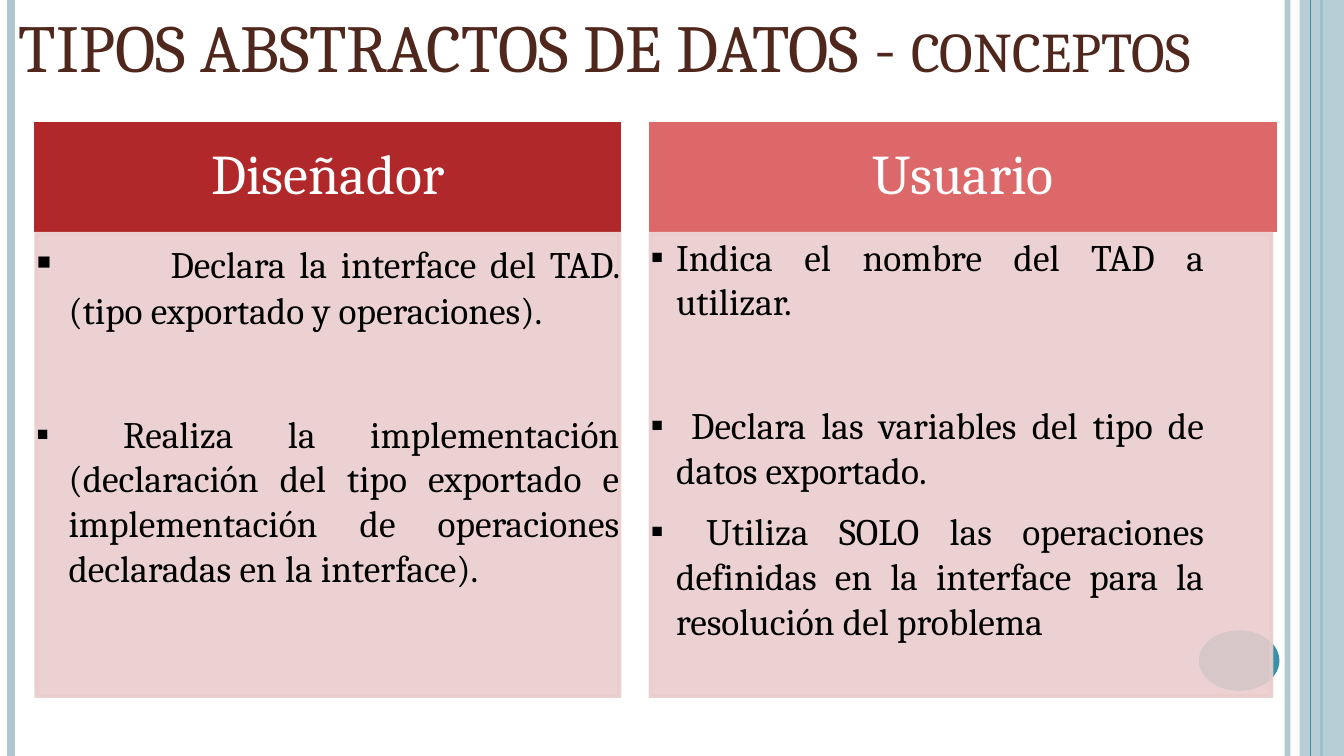
from pptx import Presentation
from pptx.dml.color import RGBColor
from pptx.enum.shapes import MSO_CONNECTOR, MSO_SHAPE
from pptx.enum.text import MSO_ANCHOR, MSO_AUTO_SIZE, PP_ALIGN
from pptx.oxml.ns import qn
from pptx.util import Inches, Pt
from lxml import etree

RECTANGLE, OVAL = MSO_SHAPE.RECTANGLE, MSO_SHAPE.OVAL
STRAIGHT = MSO_CONNECTOR.STRAIGHT
LEFT, CENTER, JUSTIFY = PP_ALIGN.LEFT, PP_ALIGN.CENTER, PP_ALIGN.JUSTIFY
TOP, MIDDLE, BOTTOM = MSO_ANCHOR.TOP, MSO_ANCHOR.MIDDLE, MSO_ANCHOR.BOTTOM
NO_AUTOFIT = MSO_AUTO_SIZE.NONE

WHITE = RGBColor(0xFF, 0xFF, 0xFF)
BLACK = RGBColor(0, 0, 0)
BROWN = RGBColor(0x4F, 0x27, 0x1C)
PALE_BLUE = RGBColor(0xAE, 0xC7, 0xD0)
TEAL = RGBColor(0x38, 0x91, 0xA7)
DARK_RED = RGBColor(0xB0, 0x28, 0x29)
CORAL = RGBColor(0xDD, 0x68, 0x69)
PALE_PINK = RGBColor(0xE9, 0xCD, 0xCD)

FONT, BULLET_FONT = "Cambria", "Arial"
WIDTH = 10
HEIGHT = WIDTH * 9 / 16
COLUMN_TOP, HEADER_HEIGHT, GAP, BODY_HEIGHT = 0.92, 0.79, 0.03, 3.44
CLOSE, WIDE = 9, 42

DESIGNER = [
    ("\tDeclara la interface del TAD. (tipo exportado y operaciones).", WIDE),
    (" Realiza la implementación (declaración del tipo exportado e "
     "implementación de operaciones declaradas en la interface).", CLOSE),
]
USER = [
    ("Indica el nombre del TAD a utilizar.", WIDE),
    (" Declara las variables del tipo de datos exportado.", CLOSE),
    (" Utiliza SOLO las operaciones definidas en la interface para la "
     "resolución del problema", CLOSE),
]


def set_opacity(fill_parent, percent):
    """Make the solid colour below an element partly transparent."""
    color = fill_parent.find(qn("a:solidFill"))[0]
    etree.SubElement(color, qn("a:alpha")).set("val", str(percent * 1000))


def add_block(slide, kind, box, color, opacity=100, outline=0):
    """Add a flat shape, with a sharp outline of its own colour if a width is given."""
    shape = slide.shapes.add_shape(kind, *map(Inches, box))
    shape.shadow.inherit = False
    shape.fill.solid()
    shape.fill.fore_color.rgb = color
    properties = shape._element.spPr
    if outline:
        shape.line.color.rgb = color
        shape.line.width = Pt(outline)
        line = properties.find(qn("a:ln"))
        etree.SubElement(line, qn("a:miter")).set("lim", "800000")
    else:
        shape.line.fill.background()
    if opacity < 100:
        set_opacity(properties, opacity)
        if outline:
            set_opacity(line, opacity)
    return shape


def add_stripe(slide, x, color, width, opacity=100):
    """Add a vertical line over the full height of the slide."""
    line = slide.shapes.add_connector(
        STRAIGHT, Inches(x), 0, Inches(x), Inches(HEIGHT))
    line.line.color.rgb = color
    line.line.width = Pt(width)
    properties = line._element.spPr
    etree.SubElement(properties, qn("a:effectLst"))
    if opacity < 100:
        set_opacity(properties.find(qn("a:ln")), opacity)


def add_frame(slide):
    """Draw the side stripes and the corner disc."""
    add_stripe(slide, 9.58, PALE_BLUE, 3, 93)
    add_stripe(slide, 0.08, PALE_BLUE, 4.5)
    add_stripe(slide, 9.83, TEAL, 1.5)
    add_block(slide, RECTANGLE, (9.67, 0, 0.33, HEIGHT), PALE_BLUE, 87)
    add_stripe(slide, 9.75, TEAL, 0.75)
    add_block(slide, OVAL, (8.92, 4.69, 0.6, 0.45), TEAL)


def set_frame(shape, anchor, margins):
    """Set wrapping, anchor and left, top, right, bottom margins of a text frame."""
    frame = shape.text_frame
    frame.word_wrap = True
    frame.auto_size = NO_AUTOFIT
    frame.vertical_anchor = anchor
    (frame.margin_left, frame.margin_top,
     frame.margin_right, frame.margin_bottom) = map(Inches, margins)
    return frame


def set_font(font, size, color):
    """Set the typeface, size and colour of a font."""
    font.name = FONT
    font.size = Pt(size)
    font.color.rgb = color


def add_title(slide, box):
    """Place the title and give its last word a smaller size."""
    title = slide.shapes.title
    title.left, title.top, title.width, title.height = map(Inches, box)
    frame = set_frame(title, BOTTOM, (0.1, 0.05, 0.1, 0.05))
    paragraph = frame.paragraphs[0]
    paragraph.alignment = LEFT
    for text, size in (("TIPOS ABSTRACTOS DE DATOS - ", 36), ("CONCEPTOS", 30)):
        run = paragraph.add_run()
        run.text = text
        set_font(run.font, size, BROWN)


def add_bullet(paragraph, indent):
    """Give a paragraph a square bullet, a hanging indent and a tab stop."""
    properties = paragraph._p.get_or_add_pPr()
    properties.set("marL", str(Inches(indent)))
    properties.set("indent", str(-Inches(indent)))
    color = etree.SubElement(properties, qn("a:buClr"))
    etree.SubElement(color, qn("a:srgbClr")).set("val", str(BLACK))
    etree.SubElement(properties, qn("a:buFont")).set("typeface", BULLET_FONT)
    etree.SubElement(properties, qn("a:buChar")).set("char", "▪")
    tabs = etree.SubElement(properties, qn("a:tabLst"))
    tab = etree.SubElement(tabs, qn("a:tab"))
    tab.set("pos", str(Inches(1)))
    tab.set("algn", "l")


def add_column(slide, left, header_width, body_width, heading, color,
               items, indent, margins):
    """Add a coloured heading above a panel of bulleted text."""
    header = add_block(slide, RECTANGLE,
                       (left, COLUMN_TOP, header_width, HEADER_HEIGHT),
                       color, outline=2)
    frame = set_frame(header, MIDDLE, (0.23, 0.13, 0.23, 0.13))
    paragraph = frame.paragraphs[0]
    paragraph.text = heading
    paragraph.alignment = CENTER
    paragraph.line_spacing = 0.9
    set_font(paragraph.font, 30, WHITE)

    body_top = COLUMN_TOP + HEADER_HEIGHT + GAP
    body = add_block(slide, RECTANGLE,
                     (left, body_top, body_width, BODY_HEIGHT),
                     PALE_PINK, 90, outline=2)
    frame = set_frame(body, TOP, margins)
    for index, (text, space_after) in enumerate(items):
        paragraph = frame.add_paragraph() if index else frame.paragraphs[0]
        paragraph.alignment = JUSTIFY
        paragraph.space_after = Pt(space_after)
        add_bullet(paragraph, indent)
        set_font(paragraph.font, 20, BLACK)
        if text.startswith("\t"):
            run = paragraph.add_run()
            run.text = "\t"
            run.font.size = Pt(24)
        paragraph.add_run().text = text.lstrip("\t")


def main():
    """Build and save the slide."""
    presentation = Presentation()
    presentation.slide_width = Inches(WIDTH)
    presentation.slide_height = Inches(HEIGHT)
    slide = presentation.slides.add_slide(presentation.slide_layouts[5])
    add_frame(slide)
    add_title(slide, (0.04, 0, 9.96, 0.69))
    add_column(slide, 0.27, 4.34, 4.34, "Diseñador", DARK_RED,
               DESIGNER, 0.24, (0, 0, 0, 0))
    add_column(slide, 4.84, 4.65, 4.62, "Usuario", CORAL,
               USER, 0.19, (0, 0, 0.5, 0.56))
    presentation.save("out.pptx")


if __name__ == "__main__":
    main()
